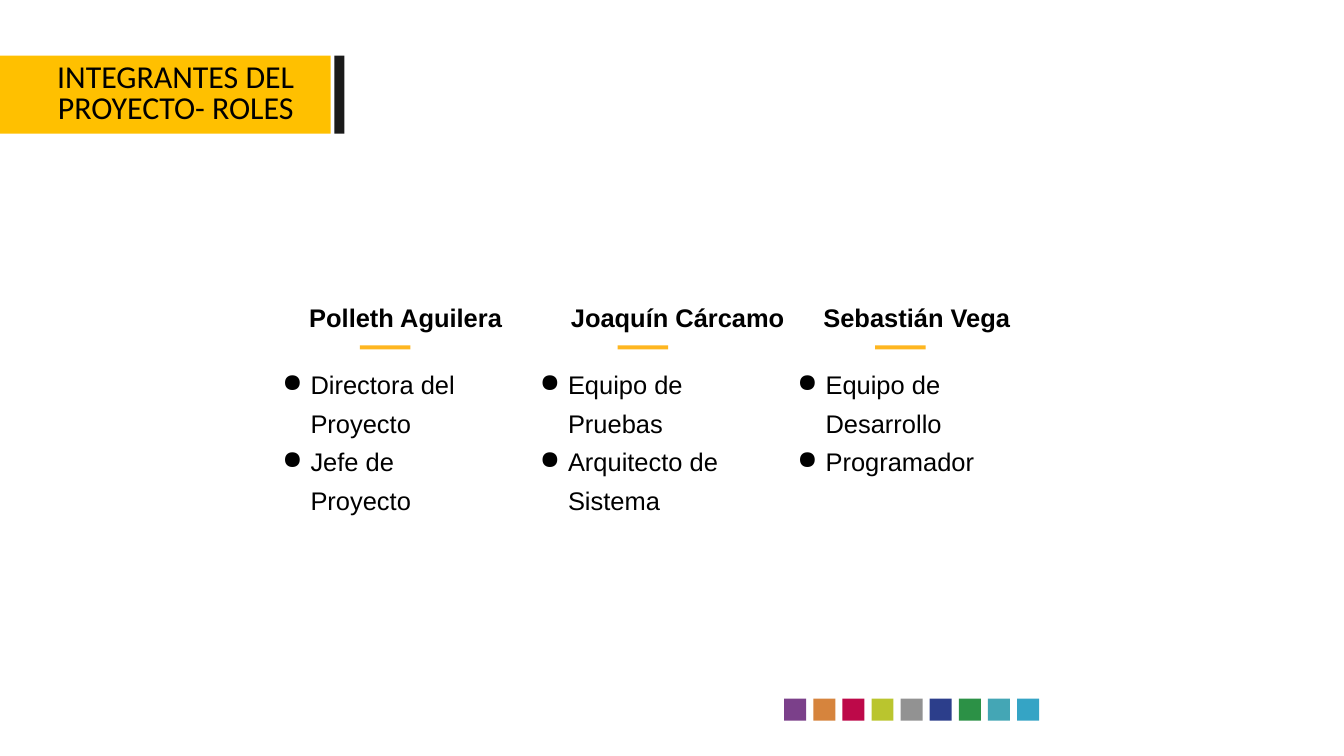
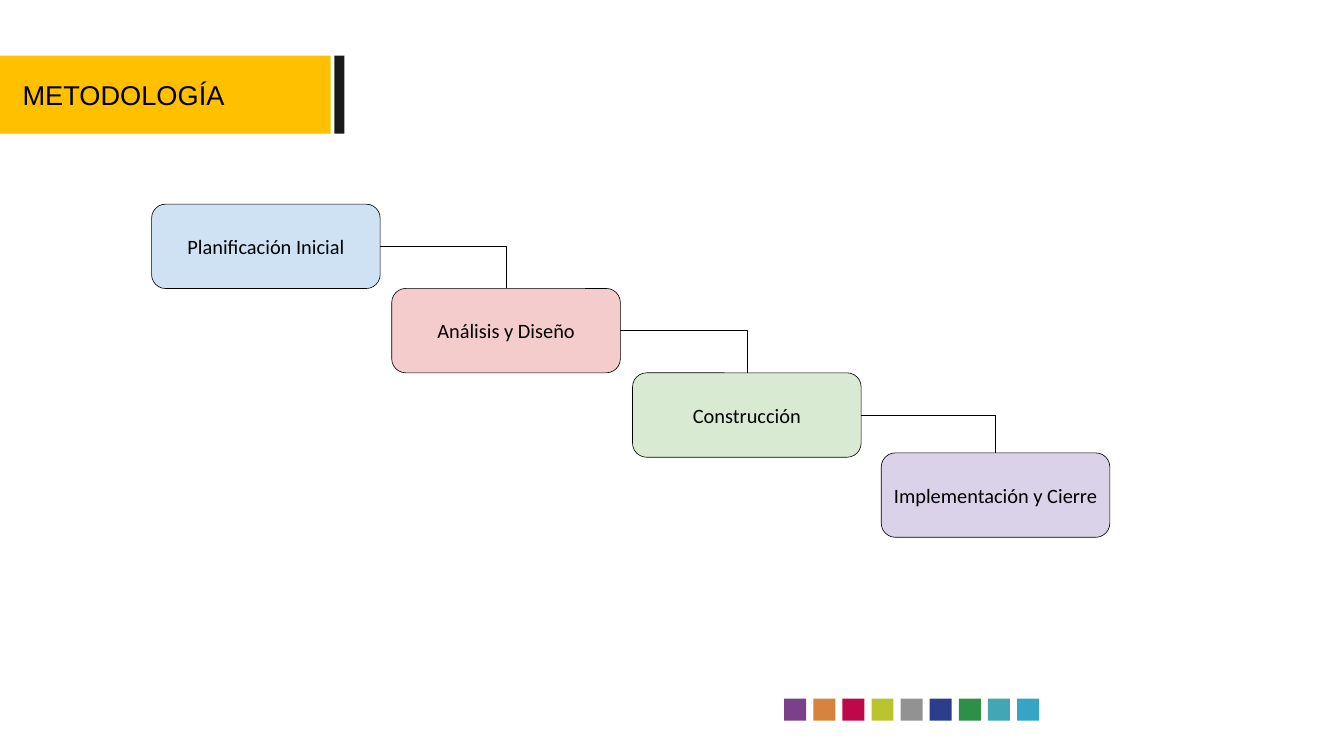
import dataclasses

import lxml.etree
import pptx
import pptx.dml.color
import pptx.enum.shapes
import pptx.enum.text
import pptx.oxml.ns
import pptx.util

Pt = pptx.util.Pt
Align = pptx.enum.text.PP_ALIGN
Anchor = pptx.enum.text.MSO_ANCHOR
Preset = pptx.enum.shapes.MSO_SHAPE
qn = pptx.oxml.ns.qn


@dataclasses.dataclass(frozen=True)
class Theme:
    ink: str = "000000"
    band: str = "FFC000"
    bar: str = "1A1A1A"
    accent: str = "FEB620"
    squares: tuple = ("7B408A", "D6843D", "BD0949", "BAC52E", "929292",
                      "2C3E8B", "2C9146", "44A6B5", "35A4C5")
    body_font: str = "Arial"
    label_font: str = "Calibri"
    wide_title_size: float = 37.6
    title_size: float = 32
    body_size: float = 30
    step_size: float = 24
    line_width: float = 0.75


THEME = Theme()
SLIDE_SIZE = (1583.3, 890.6)
BAND_TOP, BAND_WIDTH, BAND_HEIGHT = 65.5, 389.5, 92


def rgb(value):
    return pptx.dml.color.RGBColor.from_string(value)


def write_text(paragraph, text, *, font=THEME.body_font, size=THEME.body_size,
               color=THEME.ink, bold=False, align=Align.LEFT, spacing=None):
    paragraph.alignment = align
    if spacing:
        paragraph.line_spacing = spacing
    run = paragraph.add_run()
    run.text = text
    run.font.name = font
    run.font.size = Pt(size)
    run.font.bold = bold
    run.font.color.rgb = rgb(color)


def set_frame(frame, anchor=Anchor.TOP, inset=0):
    frame.word_wrap = True
    frame.auto_size = pptx.enum.text.MSO_AUTO_SIZE.NONE
    frame.vertical_anchor = anchor
    frame.margin_left = frame.margin_right = Pt(inset)
    frame.margin_top = frame.margin_bottom = Pt(inset)


def add_bullet(paragraph, color, margin=36, hanging=33.1):
    properties = paragraph._p.get_or_add_pPr()
    properties.set("marL", str(Pt(margin)))
    properties.set("indent", str(-Pt(hanging)))
    bullet_color = lxml.etree.SubElement(properties, qn("a:buClr"))
    lxml.etree.SubElement(bullet_color, qn("a:srgbClr"), val=color)
    lxml.etree.SubElement(properties, qn("a:buChar"), char="●")


class Deck:
    def __init__(self, theme):
        self.theme = theme
        self.presentation = pptx.Presentation()
        self.presentation.slide_width = Pt(SLIDE_SIZE[0])
        self.presentation.slide_height = Pt(SLIDE_SIZE[1])
        self.slide = None

    def add_slide(self, title, left, width, **text_format):
        layout = self.presentation.slide_layouts[5]
        self.slide = self.presentation.slides.add_slide(layout)
        self.frame_slide()
        # Title placeholder, brought in front of its band
        placeholder = self.slide.shapes.title
        self.slide.shapes.element.append(placeholder.element)
        placeholder.left, placeholder.top = Pt(left), Pt(BAND_TOP)
        placeholder.width, placeholder.height = Pt(width), Pt(BAND_HEIGHT)
        set_frame(placeholder.text_frame, Anchor.MIDDLE)
        write_text(placeholder.text_frame.paragraphs[0], title, **text_format)

    def frame_slide(self):
        """Title band, dark bar and the row of coloured squares."""
        self.block(0, BAND_TOP, BAND_WIDTH, BAND_HEIGHT, self.theme.band)
        self.block(393.8, BAND_TOP, 12, BAND_HEIGHT, self.theme.bar)
        for index, color in enumerate(self.theme.squares):
            self.block(923.8 + index * 34.3, 823, 25.9, 25.9, color)

    def block(self, left, top, width, height, color, preset=Preset.RECTANGLE):
        shape = self.slide.shapes.add_shape(
            preset, Pt(left), Pt(top), Pt(width), Pt(height))
        shape.shadow.inherit = False
        shape.fill.solid()
        shape.fill.fore_color.rgb = rgb(color)
        shape.line.fill.background()
        return shape

    def text_box(self, left, top, width, height, lines, bullets=False, **text_format):
        box = self.slide.shapes.add_textbox(Pt(left), Pt(top), Pt(width), Pt(height))
        frame = box.text_frame
        set_frame(frame)
        for index, line in enumerate(lines):
            paragraph = frame.add_paragraph() if index else frame.paragraphs[0]
            write_text(paragraph, line, **text_format)
            if bullets:
                add_bullet(paragraph, self.theme.ink)

    def step(self, left, top, color, label):
        shape = self.block(left, top, 269.3, 99.4, color, Preset.ROUNDED_RECTANGLE)
        shape.line.color.rgb = rgb(self.theme.ink)
        shape.line.width = Pt(self.theme.line_width)
        set_frame(shape.text_frame, Anchor.MIDDLE, inset=7.2)
        write_text(shape.text_frame.paragraphs[0], label, font=self.theme.label_font,
                   size=self.theme.step_size, align=Align.CENTER)
        return shape

    def elbow(self, source, target):
        """Single-bend line from the right of source to the top of target."""
        connector = self.slide.shapes.add_connector(
            pptx.enum.shapes.MSO_CONNECTOR.ELBOW, 0, 0, 0, 0)
        connector.begin_connect(source, 3)
        connector.end_connect(target, 0)
        connector.line.color.rgb = rgb(self.theme.ink)
        connector.line.width = Pt(self.theme.line_width)
        properties = connector.element.spPr
        properties.find(qn("a:prstGeom")).set("prst", "bentConnector2")
        lxml.etree.SubElement(properties, qn("a:effectLst"))


def build_team(deck):
    deck.add_slide("INTEGRANTES DEL PROYECTO- ROLES", 0, 414,
                   font=THEME.label_font, size=THEME.wide_title_size,
                   align=Align.CENTER, spacing=0.8)
    # Name, left edge of the name, roles
    members = (
        ("Polleth Aguilera", 364.3, ("Directora del Proyecto", "Jefe de Proyecto")),
        ("Joaquín Cárcamo", 672.5, ("Equipo de Pruebas", "Arquitecto de Sistema")),
        ("Sebastián Vega", 970, ("Equipo de Desarrollo", "Programador")),
    )
    for index, (name, name_left, roles) in enumerate(members):
        left = 329.8 + index * 303.4
        deck.text_box(left, 424.8, 247, 200, roles, bullets=True, spacing=1.27)
        deck.text_box(name_left, 355.7, 270, 40, [name], bold=True)
        deck.block(left + 94.3, 406.8, 59.5, 4.7, THEME.accent)


def build_method(deck):
    deck.add_slide("METODOLOGÍA", 26.6, 363, size=THEME.title_size)
    # Steps of the cascade
    steps = [deck.step(*step) for step in (
        (178.6, 240.5, "CFE2F3", "Planificación Inicial"),
        (461.5, 339.8, "F4CCCC", "Análisis y Diseño"),
        (745.2, 439.2, "D9EAD3", "Construcción"),
        (1038.2, 533.5, "D9D2E9", "Implementación y Cierre"),
    )]
    # Links between neighbouring steps
    for source, target in zip(steps, steps[1:]):
        deck.elbow(source, target)


def main():
    deck = Deck(THEME)
    build_team(deck)
    build_method(deck)
    deck.presentation.save("out.pptx")


if __name__ == "__main__":
    main()
